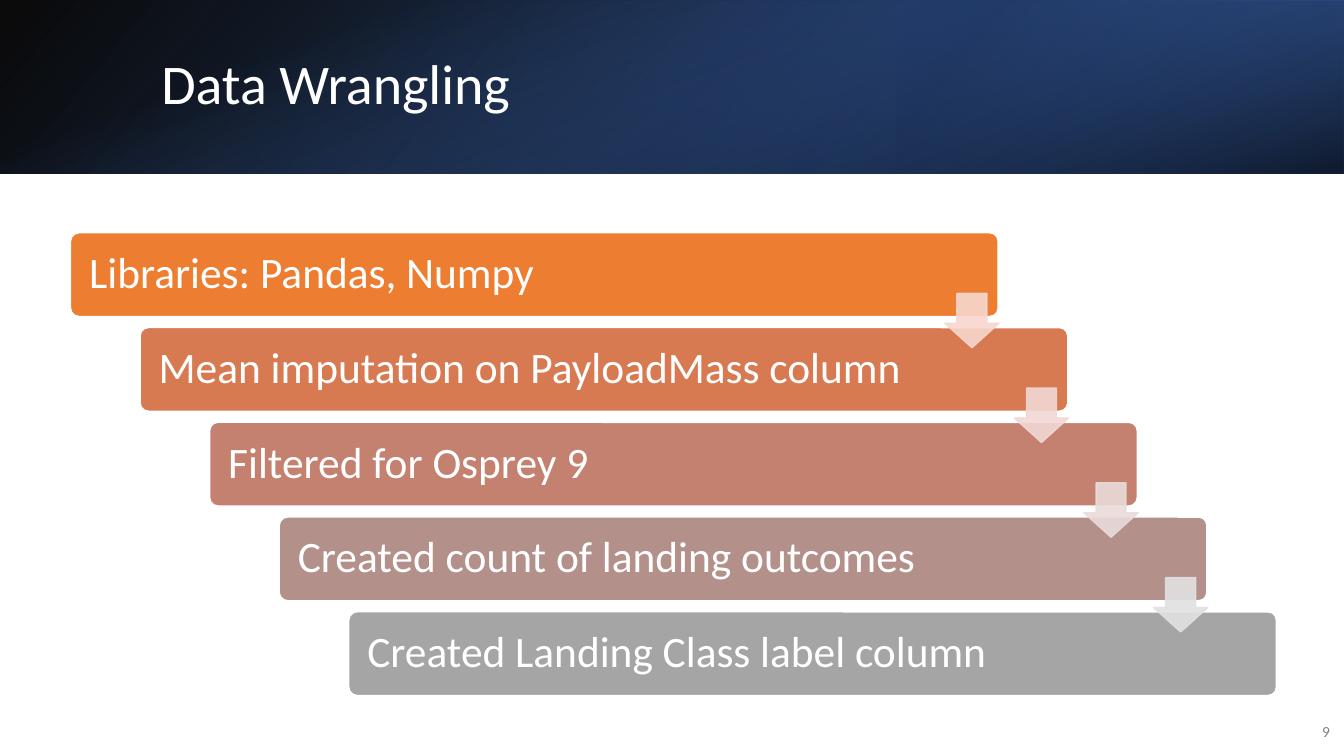
from dataclasses import dataclass
from typing import Any

import pptx
import pptx.dml.color
import pptx.enum.shapes
import pptx.enum.text
import pptx.oxml
import pptx.oxml.ns
import pptx.util
from pptx.util import Inches

MSO_SHAPE = pptx.enum.shapes.MSO_SHAPE
MSO_ANCHOR = pptx.enum.text.MSO_ANCHOR
PP_ALIGN = pptx.enum.text.PP_ALIGN


@dataclass(frozen=True)
class Theme:
    font: str = "Calibri"
    white: str = "FFFFFF"
    grey: str = "808080"
    title_size: int = 40
    step_size: int = 31
    number_size: int = 11
    line_width: int = 1
    arrow_opacity: int = 90


@dataclass(frozen=True)
class Stop:
    position: int
    color: str
    opacity: int


@dataclass(frozen=True)
class Panel:
    left: float
    top: float
    width: float
    height: float
    angle: int
    stops: tuple[Stop, Stop]
    rotation: int = 0
    flipped: bool = False


@dataclass(frozen=True)
class Step:
    text: str
    color: str
    arrow_color: str = ""


THEME = Theme()
SLIDE_WIDTH, SLIDE_HEIGHT, BANNER_HEIGHT = 13.33, 7.5, 1.72

PANELS = (
    Panel(0, 0, SLIDE_WIDTH, BANNER_HEIGHT, 140,
          (Stop(0, "000000", 96), Stop(100, "2F5597", 100)), flipped=True),
    Panel(8.89, 0, 4.44, BANNER_HEIGHT, 320,
          (Stop(19, "203864", 68), Stop(100, "4472C4", 79)), 180, True),
    Panel(5.8, -5.8, BANNER_HEIGHT, SLIDE_WIDTH, 340,
          (Stop(23, "4472C4", 0), Stop(99, "000000", 74)), 90),
)

STEPS = (
    Step("Libraries: Pandas, Numpy", "ED7D31", "F8D7CE"),
    Step("Mean imputation on PayloadMass column", "D87A51", "F1D8D4"),
    Step("Filtered for Osprey 9", "C48170", "E9DBDA"),
    Step("Created count of landing outcomes", "B4908B", "E1E1E1"),
    Step("Created Landing Class label column", "A5A5A5"),
)
STEP_RIGHT, STEP_DOWN = 0.69, 0.94


def rgb(color: str) -> pptx.dml.color.RGBColor:
    return pptx.dml.color.RGBColor.from_string(color)


def add_shape(slide: Any, kind: Any, left: float, top: float, width: float, height: float) -> Any:
    shape = slide.shapes.add_shape(
        kind, Inches(left), Inches(top), Inches(width), Inches(height))
    shape.shadow.inherit = False
    return shape


def paint(shape: Any, fill_color: str, line_color: str) -> None:
    shape.fill.solid()
    shape.fill.fore_color.rgb = rgb(fill_color)
    shape.line.color.rgb = rgb(line_color)
    shape.line.width = pptx.util.Pt(THEME.line_width)


def write(shape: Any, text: str, size: int, color: str,
          alignment: Any = PP_ALIGN.LEFT, line_spacing: float = 1.0) -> None:
    frame = shape.text_frame
    frame.text = text
    frame.word_wrap = True
    frame.auto_size = pptx.enum.text.MSO_AUTO_SIZE.NONE
    frame.vertical_anchor = MSO_ANCHOR.MIDDLE
    paragraph = frame.paragraphs[0]
    paragraph.alignment = alignment
    paragraph.line_spacing = line_spacing
    paragraph.font.name = THEME.font
    paragraph.font.size = pptx.util.Pt(size)
    paragraph.font.color.rgb = rgb(color)


def add_panel(slide: Any, panel: Panel) -> Any:
    shape = add_shape(slide, MSO_SHAPE.RECTANGLE,
                      panel.left, panel.top, panel.width, panel.height)
    shape.rotation = panel.rotation
    shape.line.fill.background()
    properties = shape.element.spPr
    if panel.flipped:
        properties.find(pptx.oxml.ns.qn("a:xfrm")).set("flipH", "1")
    # Stops with opacity need XML
    stops = "".join(
        f'<a:gs pos="{stop.position * 1000}"><a:srgbClr val="{stop.color}">'
        f'<a:alpha val="{stop.opacity * 1000}"/></a:srgbClr></a:gs>'
        for stop in panel.stops)
    gradient = pptx.oxml.parse_xml(
        f'<a:gradFill {pptx.oxml.ns.nsdecls("a")} rotWithShape="1"><a:gsLst>{stops}</a:gsLst>'
        f'<a:lin ang="{panel.angle * 60000}" scaled="0"/></a:gradFill>')
    properties.find(pptx.oxml.ns.qn("a:prstGeom")).addnext(gradient)
    return shape


def add_step(slide: Any, index: int, step: Step) -> None:
    bar = add_shape(slide, MSO_SHAPE.ROUNDED_RECTANGLE,
                    0.7 + index * STEP_RIGHT, 2.31 + index * STEP_DOWN, 9.2, 0.83)
    bar.adjustments[0] = 0.1
    paint(bar, step.color, THEME.white)
    write(bar, step.text, THEME.step_size, THEME.white, line_spacing=0.9)
    bar.text_frame.margin_left = Inches(0.16)


def add_arrow(slide: Any, index: int, step: Step) -> None:
    arrow = add_shape(slide, MSO_SHAPE.DOWN_ARROW,
                      9.37 + index * STEP_RIGHT, 2.91 + index * STEP_DOWN, 0.54, 0.54)
    arrow.adjustments[0] = 0.45
    arrow.adjustments[1] = 0.45
    # The first adjustment is the stem width, the second the head length
    arrow.adjustments[0] = 0.55
    paint(arrow, step.arrow_color, step.arrow_color)
    for color in arrow.element.spPr.iter(pptx.oxml.ns.qn("a:srgbClr")):
        color.append(pptx.oxml.parse_xml(
            f'<a:alpha {pptx.oxml.ns.nsdecls("a")} val="{THEME.arrow_opacity * 1000}"/>'))


def main() -> None:
    presentation = pptx.Presentation()
    presentation.slide_width = Inches(SLIDE_WIDTH)
    presentation.slide_height = Inches(SLIDE_HEIGHT)
    slide = presentation.slides.add_slide(presentation.slide_layouts[5])

    # Title over the banner panels
    title = slide.shapes.title
    title.left, title.top = Inches(1.5), Inches(0.38)
    title.width, title.height = Inches(10.98), Inches(0.96)
    write(title, "Data Wrangling", THEME.title_size, THEME.white, line_spacing=0.9)
    for panel in PANELS:
        title.element.addprevious(add_panel(slide, panel).element)

    # Slide number
    number = slide.shapes.add_textbox(Inches(12.8), Inches(7.06), Inches(0.49), Inches(0.4))
    write(number, "9", THEME.number_size, THEME.grey, PP_ALIGN.RIGHT)

    # Staircase of steps, then the arrows that overlap it
    for index, step in enumerate(STEPS):
        add_step(slide, index, step)
    for index, step in enumerate(STEPS[:-1]):
        add_arrow(slide, index, step)

    presentation.save("out.pptx")


if __name__ == "__main__":
    main()
